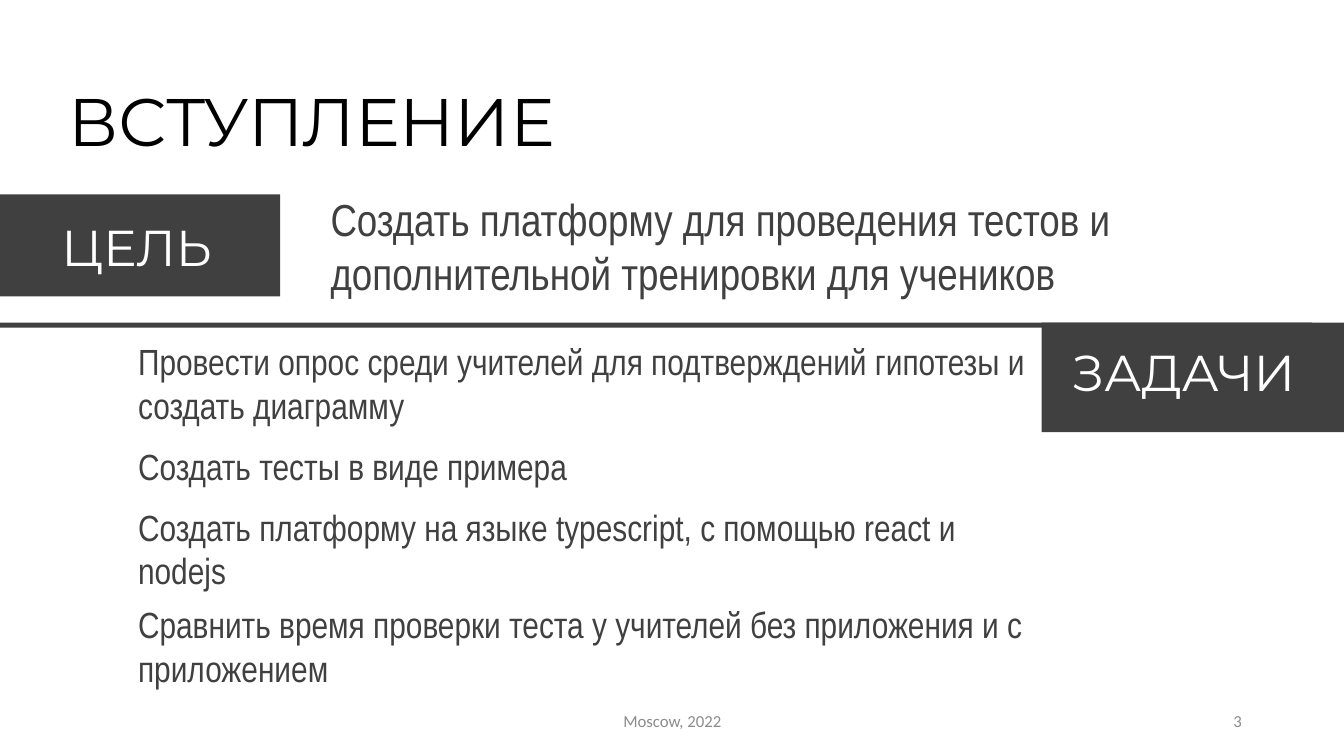
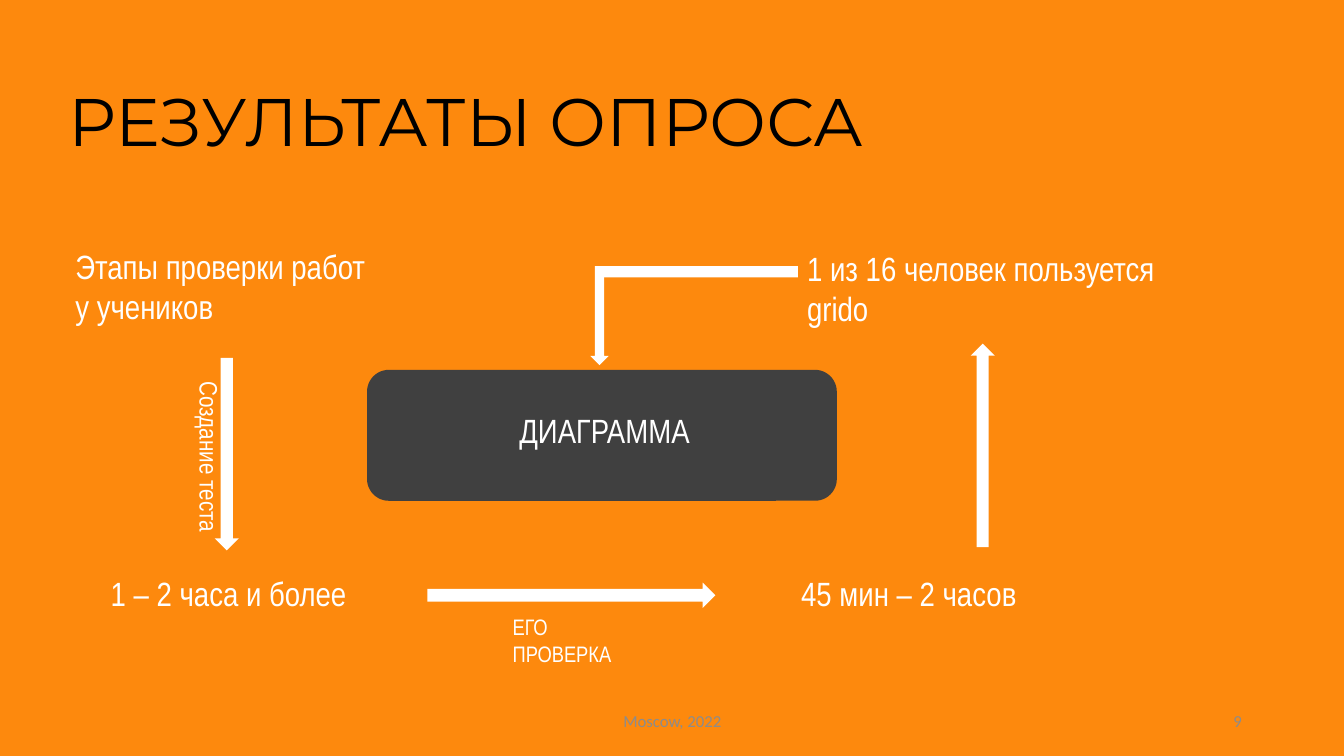
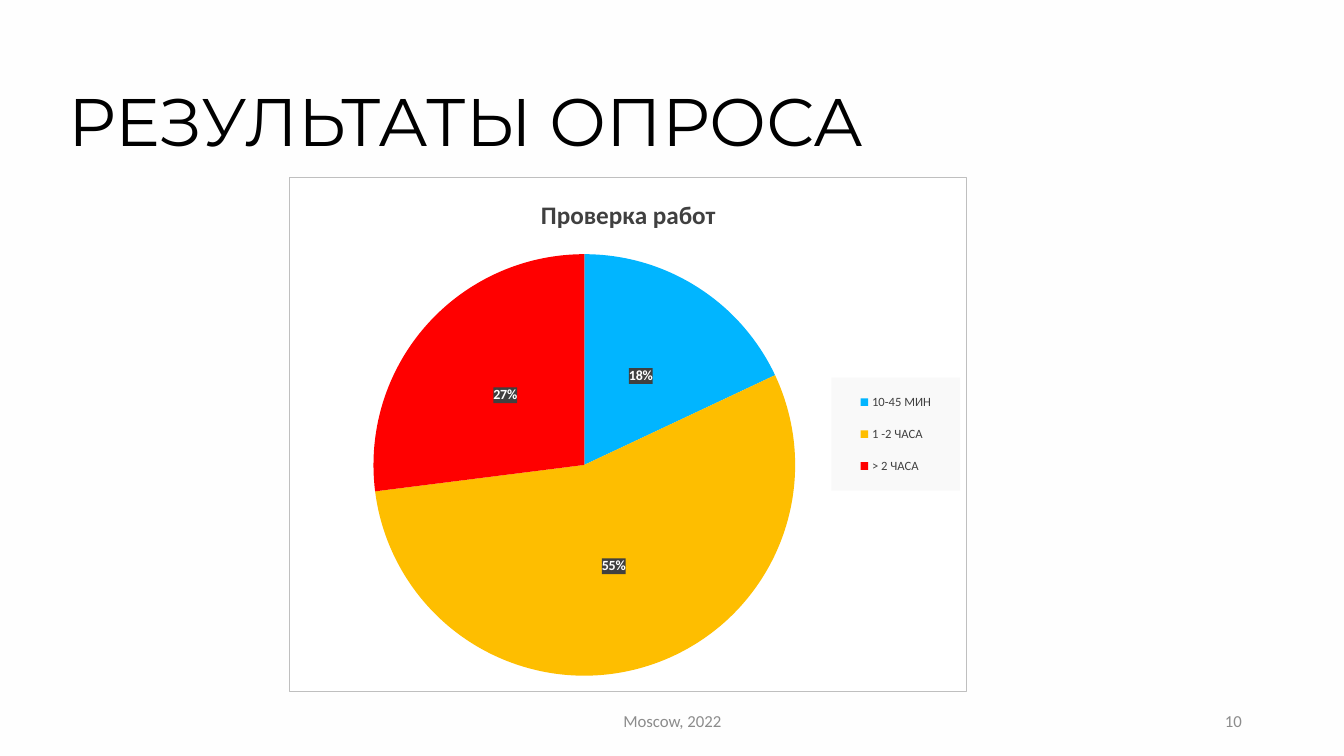
from pptx import Presentation
from pptx.chart.data import CategoryChartData
from pptx.dml.color import RGBColor
from pptx.enum.chart import XL_CHART_TYPE, XL_LABEL_POSITION, XL_LEGEND_POSITION
from pptx.enum.shapes import MSO_SHAPE
from pptx.enum.text import MSO_ANCHOR, MSO_AUTO_SIZE, PP_ALIGN
from pptx.oxml import parse_xml
from pptx.oxml.ns import nsdecls, qn
from pptx.util import Cm, Pt

RECT = MSO_SHAPE.RECTANGLE
ROUNDED = MSO_SHAPE.ROUNDED_RECTANGLE
DOWN = MSO_SHAPE.DOWN_ARROW
UP = MSO_SHAPE.UP_ARROW
RIGHT = MSO_SHAPE.RIGHT_ARROW
LEFT_ALIGN = PP_ALIGN.LEFT
CENTER_ALIGN = PP_ALIGN.CENTER
RIGHT_ALIGN = PP_ALIGN.RIGHT
TOP = MSO_ANCHOR.TOP
MIDDLE = MSO_ANCHOR.MIDDLE
GROW = MSO_AUTO_SIZE.SHAPE_TO_FIT_TEXT
PIE = XL_CHART_TYPE.PIE
LABEL_CENTER = XL_LABEL_POSITION.CENTER
LEGEND_RIGHT = XL_LEGEND_POSITION.RIGHT

HEADING = "Montserrat"
BODY = "Arial Narrow"
SMALL = "Calibri"
BLACK = "000000"
WHITE = "FFFFFF"
DARK = "404040"
GREY = "8C8C8C"
BORDER = "BFBFBF"
LEGEND_FILL = "F9F9F9"
ORANGE = "FD890D"
OFF_WHITE = "FEFEFE"


def color(value):
    return RGBColor.from_string(value)


def style_font(font, size, name, ink, bold=False):
    font.size = Pt(size)
    font.name = name
    font.bold = bold
    font.color.rgb = color(ink)


def write(frame, text, size=24, name=BODY, ink=WHITE, bold=False, align=LEFT_ALIGN):
    for index, line in enumerate(text.split("\n")):
        paragraph = frame.add_paragraph() if index else frame.paragraphs[0]
        paragraph.alignment = align
        run = paragraph.add_run()
        run.text = line
        style_font(run.font, size, name, ink, bold)


def add_text(slide, text, left, top, width, height, anchor=TOP, vertical=False, **style):
    box = slide.shapes.add_textbox(Cm(left), Cm(top), Cm(width), Cm(height))
    frame = box.text_frame
    frame.word_wrap = True
    frame.vertical_anchor = anchor
    if anchor == TOP:
        frame.auto_size = GROW
    if vertical:
        box.element.find(".//" + qn("a:bodyPr")).set("vert", "vert")
    write(frame, text, **style)


def add_block(slide, kind, left, top, width, height, fill=DARK):
    block = slide.shapes.add_shape(kind, Cm(left), Cm(top), Cm(width), Cm(height))
    block.shadow.inherit = False
    block.fill.solid()
    block.fill.fore_color.rgb = color(fill)
    block.line.fill.background()


def add_slide(deck, title, number, background):
    slide = deck.slides.add_slide(deck.slide_layouts[6])
    slide.background.fill.solid()
    slide.background.fill.fore_color.rgb = color(background)
    add_text(slide, title, 1.47, 1.88, 30.07, 2.31, size=48, name=HEADING, ink=BLACK)
    footer = dict(anchor=MIDDLE, size=12, name=SMALL, ink=GREY)
    add_text(slide, "Moscow, 2022", 11.23, 17.65, 11.43, 1.02, align=CENTER_ALIGN, **footer)
    add_text(slide, str(number), 23.93, 17.65, 7.62, 1.02, align=RIGHT_ALIGN, **footer)
    return slide


def area_format(fill, line=None):
    outline = "<a:ln><a:noFill/></a:ln>"
    if line:
        outline = (f'<a:ln w="9525"><a:solidFill><a:srgbClr val="{line}"/>'
                   "</a:solidFill></a:ln>")
    return parse_xml(
        f'<c:spPr {nsdecls("c", "a")}><a:solidFill><a:srgbClr val="{fill}"/>'
        f"</a:solidFill>{outline}</c:spPr>")


def manual_layout(x, y, w, h, target=""):
    return parse_xml(
        f'<c:layout {nsdecls("c")}><c:manualLayout>{target}'
        '<c:xMode val="edge"/><c:yMode val="edge"/>'
        f'<c:x val="{x}"/><c:y val="{y}"/><c:w val="{w}"/><c:h val="{h}"/>'
        "</c:manualLayout></c:layout>")


def replace_layout(parent, layout, after=None):
    current = parent.find(qn("c:layout"))
    if current is not None:
        parent.remove(current)
    if after is None:
        parent.insert(0, layout)
    else:
        parent.find(qn(after)).addnext(layout)


def add_pie(slide, title, shares, left, top, width, height):
    data = CategoryChartData()
    data.categories = [category for category, _, _ in shares]
    data.add_series(title, [value for _, value, _ in shares])
    chart = slide.shapes.add_chart(
        PIE, Cm(left), Cm(top), Cm(width), Cm(height), data).chart
    style_font(chart.font, 10, SMALL, BLACK)
    chart.has_title = True
    write(chart.chart_title.text_frame, title, size=18, name=SMALL, ink=DARK,
          bold=True, align=CENTER_ALIGN)
    chart.chart_title.include_in_layout = False

    chart.has_legend = True
    legend = chart.legend
    legend.position = LEGEND_RIGHT
    legend.include_in_layout = False
    style_font(legend.font, 9, SMALL, DARK)
    replace_layout(legend._element, manual_layout(0.8, 0.39, 0.19, 0.22), "c:legendPos")
    legend._element.find(qn("c:txPr")).addprevious(area_format(LEGEND_FILL))

    plot = chart.plots[0]
    plot.vary_by_categories = True
    for index, (_, _, fill) in enumerate(shares):
        slice_fill = plot.series[0].points[index].format.fill
        slice_fill.solid()
        slice_fill.fore_color.rgb = color(fill)
    plot.has_data_labels = True
    labels = plot.data_labels
    labels.show_percentage = True
    labels.show_value = False
    labels.number_format = "0%"
    labels.number_format_is_linked = False
    labels.position = LABEL_CENTER
    style_font(labels.font, 10, SMALL, WHITE, bold=True)
    labels._element.find(qn("c:txPr")).addprevious(area_format(DARK))

    chart_area = chart.element.find(qn("c:chart"))
    chart_area.addnext(area_format(WHITE, BORDER))
    inner = '<c:layoutTarget val="inner"/>'
    replace_layout(chart_area.find(qn("c:plotArea")),
                   manual_layout(0.12, 0.15, 0.63, 0.82, inner))


def build_introduction(deck):
    slide = add_slide(deck, "ВСТУПЛЕНИЕ", 3, WHITE)
    label = dict(size=36, name=HEADING)
    add_block(slide, RECT, 0, 4.9, 7.06, 2.57)
    add_text(slide, "ЦЕЛЬ", 1.3, 5.31, 4.67, 1.8, **label)
    add_block(slide, RECT, 0, 8.13, 33.07, 0.13)
    add_block(slide, RECT, 26.25, 8.13, 7.62, 2.76)
    add_text(slide, "ЗАДАЧИ", 26.77, 8.46, 6.71, 1.8, **label)
    add_text(slide, "Создать платформу для проведения тестов и "
             "дополнительной тренировки для учеников",
             8.08, 4.7, 23.09, 3, size=32, ink=DARK)
    tasks = [
        ("Провести опрос среди учителей для подтверждений гипотезы и создать диаграмму", 8.43, 2.49),
        ("Создать тесты в виде примера", 11.07, 1.37),
        ("Создать платформу на языке typescript, с помощью react и nodejs", 12.6, 2.49),
        ("Сравнить время проверки теста у учителей без приложения и с приложением", 15.06, 2.49),
    ]
    for task, top, height in tasks:
        add_text(slide, task, 3.23, top, 23.04, height, size=26, ink=DARK)


def build_process(deck):
    slide = add_slide(deck, "РЕЗУЛЬТАТЫ ОПРОСА", 9, ORANGE)
    add_block(slide, ROUNDED, 9.25, 9.32, 11.84, 3.3)
    arrows = [
        (DOWN, 5.41, 9.02, 0.61, 4.85),
        (RIGHT, 10.77, 14.68, 7.26, 0.64),
        (UP, 24.46, 8.66, 0.61, 5.13),
        (DOWN, 14.88, 6.71, 0.46, 2.49),
        (RECT, 15.06, 6.71, 5.05, 0.28),
    ]
    for kind, *place in arrows:
        add_block(slide, kind, *place, fill=WHITE)
    steps = [
        ("Этапы проверки работ\nу учеников", 1.65, 6.07, 8.18, 2.31),
        ("1 – 2 часа и более", 2.54, 14.3, 9.47, 1.27),
        ("45 мин – 2 часов", 19.94, 14.3, 10.52, 1.27),
        ("1 из 16 человек пользуется grido", 20.09, 6.12, 10.52, 2.31),
    ]
    for step, *place in steps:
        add_text(slide, step, *place)
    add_text(slide, "ДИАГРАММА", 9.8, 10.21, 10.87, 1.27, align=CENTER_ALIGN)
    add_text(slide, "Создание теста", 4.52, 9.37, 1.27, 4.32, vertical=True, size=18)
    add_text(slide, "ЕГО ПРОВЕРКА", 12.67, 15.32, 3.91, 0.94, size=16)


def build_survey(deck):
    slide = add_slide(deck, "РЕЗУЛЬТАТЫ ОПРОСА", 10, OFF_WHITE)
    shares = [
        ("10-45 МИН", 18, "01B5FF"),
        ("1 -2 ЧАСА", 55, "FEBE00"),
        ("> 2 ЧАСА", 27, "FF0000"),
    ]
    add_pie(slide, "Проверка работ", shares, 7.29, 4.45, 17.09, 12.98)


def main():
    deck = Presentation()
    deck.slide_width = Cm(33.87)
    deck.slide_height = Cm(19.05)
    build_introduction(deck)
    build_process(deck)
    build_survey(deck)
    deck.save("out.pptx")


if __name__ == "__main__":
    main()
